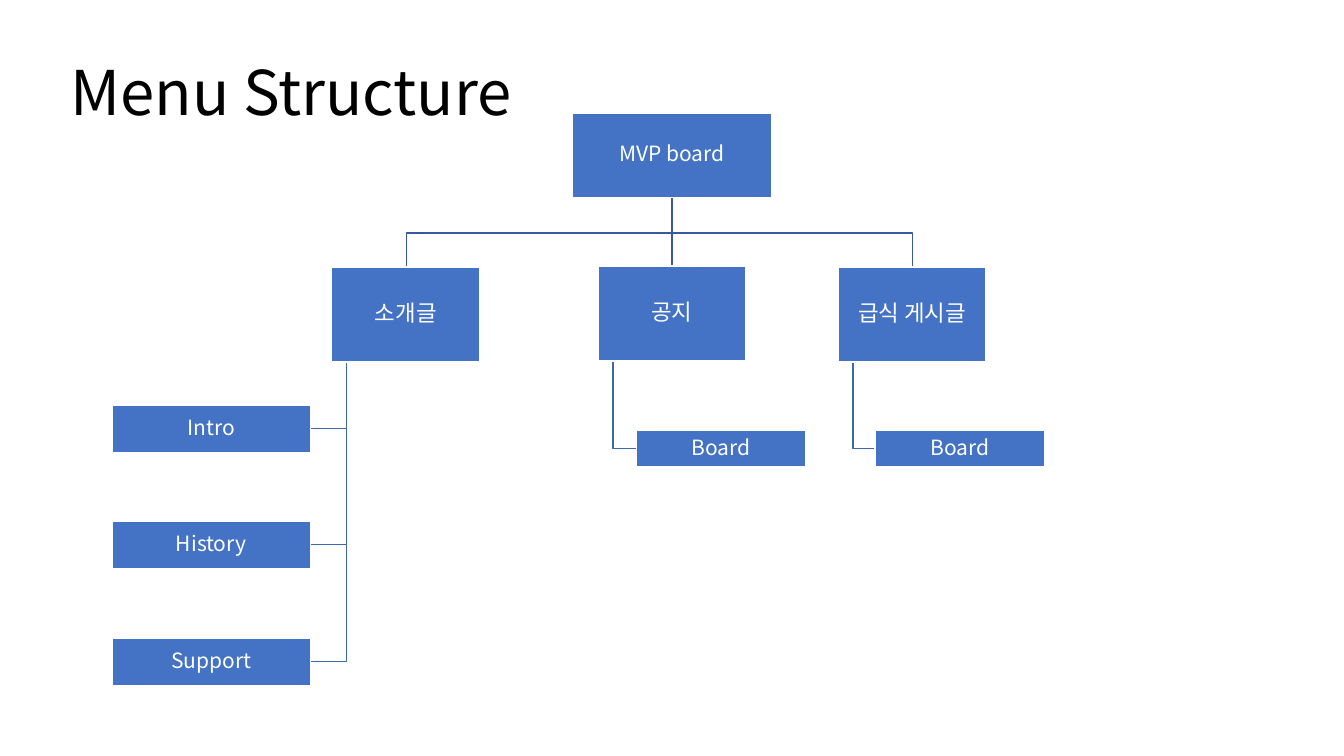
from lxml.etree import SubElement
from pptx import Presentation
from pptx.dml.color import RGBColor
from pptx.enum.shapes import MSO_CONNECTOR, MSO_SHAPE
from pptx.enum.text import MSO_ANCHOR, PP_ALIGN
from pptx.oxml.ns import qn
from pptx.util import Pt

PX = 9144  # 100 px to the inch
FONT = "Noto Sans CJK KR"
COLORS = {"box": "4472C4", "trunk": "365B9D", "twig": "3E67B2",
          "white": "FFFFFF", "black": "000000"}


class MenuSlide:
    def __init__(self, prs):
        self.shapes = prs.slides.add_slide(prs.slide_layouts[6]).shapes

    def color(self, name):
        return RGBColor.from_string(COLORS[name])

    def outline(self, shape, color):
        shape.line.color.rgb = self.color(color)
        shape.line.width = Pt(1)

    def label(self, shape, text, size, color, align, inset):
        frame = shape.text_frame
        frame.word_wrap = True
        frame.vertical_anchor = MSO_ANCHOR.MIDDLE
        frame.margin_left = frame.margin_right = inset[0] * PX
        frame.margin_top = frame.margin_bottom = inset[1] * PX
        paragraph = frame.paragraphs[0]
        paragraph.alignment = align
        paragraph.line_spacing = 0.9
        run = paragraph.add_run()
        run.text = text
        run.font.size = Pt(size)
        run.font.name = FONT
        run.font.color.rgb = self.color(color)
        SubElement(run.font._element, qn("a:ea"), typeface=FONT)

    def title(self, text, left, top, width, height):
        box = self.shapes.add_textbox(*(v * PX for v in (left, top, width, height)))
        self.label(box, text, 44, "black", PP_ALIGN.LEFT, (10, 5))

    def box(self, text, left, top, width, height, size):
        rect = self.shapes.add_shape(
            MSO_SHAPE.RECTANGLE, *(v * PX for v in (left, top, width, height)))
        rect.shadow.inherit = False
        rect.fill.solid()
        rect.fill.fore_color.rgb = self.color("box")
        self.outline(rect, "white")
        self.label(rect, text, size, "white", PP_ALIGN.CENTER, (1, 1))
        return rect

    def elbow(self, points, color):
        builder = self.shapes.build_freeform(*points[0], scale=PX)
        builder.add_line_segments(points[1:], close=False)
        line = builder.convert_to_shape()
        line.shadow.inherit = False
        line.fill.background()
        self.outline(line, color)

    def straight(self, start, end, color):
        line = self.shapes.add_connector(
            MSO_CONNECTOR.STRAIGHT, *(v * PX for v in start + end))
        self.outline(line, color)
        SubElement(line._element.spPr, qn("a:effectLst"))
        return line


# Menu tree: branch label, left, top, then its pages with their boxes
ROOT = (568, 112, 197, 84)
BRANCH_W, BRANCH_H = 147, 94
SPINE_INSET = 15
BRANCHES = [
    ("소개글", 329, 265, [("Intro", 111, 402, 197, 47),
                       ("History", 111, 517, 197, 47),
                       ("Support", 111, 633, 197, 47)]),
    ("공지", 593, 264, [("Board", 631, 427, 168, 36)]),
    ("급식 게시글", 831, 265, [("Board", 868, 427, 168, 36)]),
]


def main():
    prs = Presentation()
    prs.slide_width, prs.slide_height = 1333 * PX, 750 * PX
    menu = MenuSlide(prs)
    menu.title("Menu Structure", 60, 22, 495, 145)

    # Lines, behind the boxes
    root_x, root_bottom = ROOT[0] + ROOT[2] // 2 + 1, ROOT[1] + ROOT[3]
    trunks = {}
    for name, left, top, pages in BRANCHES:
        spine = left + SPINE_INSET
        for _, page_left, page_top, width, height in pages:
            side = page_left if page_left > spine else page_left + width
            middle = page_top + height // 2
            menu.elbow([(spine, top + BRANCH_H), (spine, middle), (side, middle)], "twig")
        branch_x = left + BRANCH_W // 2 + 1
        if branch_x == root_x:
            trunks[name] = menu.straight((root_x, root_bottom), (branch_x, top), "trunk")
        else:
            bend = (root_bottom + top) // 2 + 1
            menu.elbow([(root_x, root_bottom), (root_x, bend),
                        (branch_x, bend), (branch_x, top)], "trunk")

    # Boxes
    root = menu.box("MVP board", *ROOT, 15)
    for name, left, top, pages in BRANCHES:
        branch = menu.box(name, left, top, BRANCH_W, BRANCH_H, 16)
        for page in pages:
            menu.box(*page, 15)
        if name in trunks:
            trunks[name].begin_connect(root, 2)
            trunks[name].end_connect(branch, 0)

    prs.save("out.pptx")


if __name__ == "__main__":
    main()
